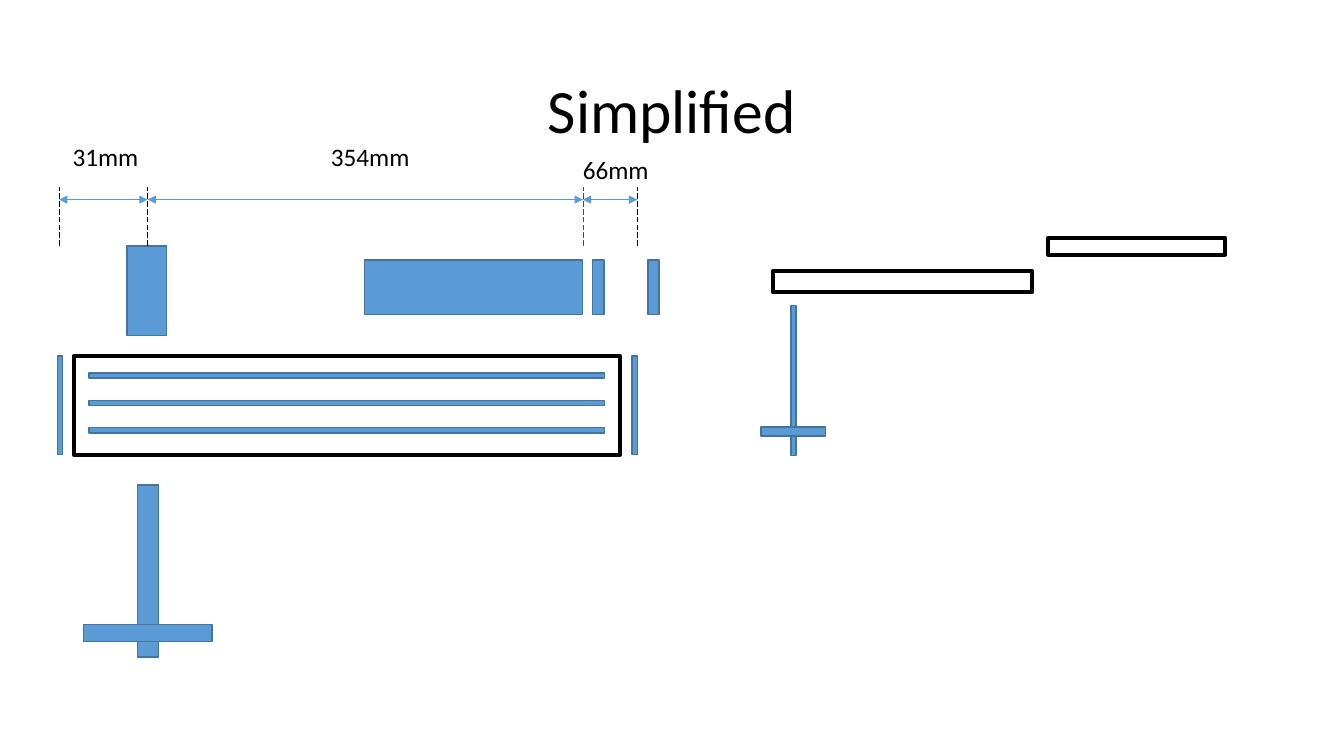
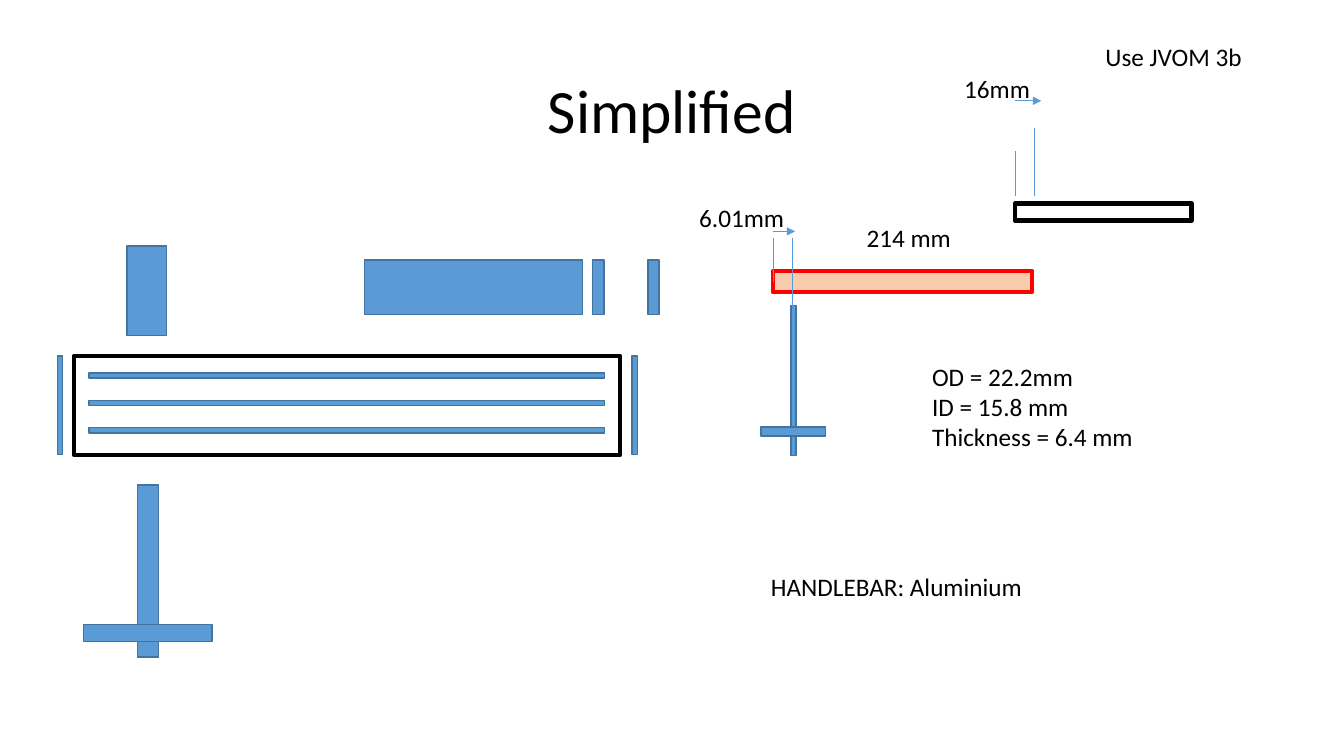
from lxml.etree import SubElement as Sub
from pptx import Presentation
from pptx.dml.color import RGBColor as Rgb
from pptx.enum.dml import MSO_LINE as Dash
from pptx.enum.shapes import MSO_CONNECTOR as Conn, MSO_SHAPE as Kind
from pptx.enum.text import MSO_ANCHOR as Anchor, MSO_AUTO_SIZE as Fit, PP_ALIGN as Align
from pptx.oxml.ns import qn
from pptx.util import Cm, Pt

FONT = "Calibri"
BLACK, WHITE, RED = "000000", "FFFFFF", "FF0000"
BLUE, NAVY, PEACH = "5B9BD5", "43739E", "F8CBAD"


def tint(part, color):
    if hasattr(part, "solid"):
        part.solid()
        part.fore_color.rgb = Rgb.from_string(color)
    else:
        part.rgb = Rgb.from_string(color)


def rect(slide, x, y, w, h, fill=BLUE, edge=NAVY, width=1):
    shape = slide.shapes.add_shape(Kind.RECTANGLE, Cm(x), Cm(y), Cm(w), Cm(h))
    shape.shadow.inherit = False
    tint(shape.fill, fill)
    tint(shape.line.color, edge)
    shape.line.width = Pt(width)


def frame(slide, x, y, w, h, fill=WHITE, edge=BLACK):
    rect(slide, x, y, w, h, fill, edge, 3)


def line(slide, x1, y1, x2, y2, color=BLUE, dash=None, heads=()):
    link = slide.shapes.add_connector(Conn.STRAIGHT, Cm(x1), Cm(y1), Cm(x2), Cm(y2))
    tint(link.line.color, color)
    link.line.width = Pt(0.5)
    if dash:
        link.line.dash_style = dash
    pen = link.line._get_or_add_ln()
    for head in heads:
        Sub(pen, qn(f"a:{head}"), type="triangle")
    Sub(link._element.spPr, qn("a:effectLst"))


def text(slide, x, y, w, h, rows, size=18):
    box = slide.shapes.add_textbox(Cm(x), Cm(y), Cm(w), Cm(h))
    body = box.text_frame
    for i, row in enumerate(rows):
        para = body.paragraphs[0] if i == 0 else body.add_paragraph()
        run = para.add_run()
        run.text = row
        run.font.name = FONT
        run.font.size = Pt(size)
        tint(run.font.color, BLACK)
    return body


def label(slide, x, y, w, *rows):
    body = text(slide, x, y, w, 0.25 + 0.77 * len(rows), rows)
    body.word_wrap = False
    body.auto_size = Fit.SHAPE_TO_FIT_TEXT


def title(slide, words):
    body = text(slide, 2.33, 1.01, 29.21, 3.68, [words], 44)
    body.word_wrap = True
    body.vertical_anchor = Anchor.MIDDLE
    para = body.paragraphs[0]
    para.alignment = Align.CENTER
    para.line_spacing = 0.9


def deck(slide, x, y, w, h):
    post = 0.13
    frame(slide, x + 0.41, y, w - 0.84, h)
    for left in (x, x + w - post):
        rect(slide, left, y, post, h)
    for i in range(3):
        rect(slide, x + 0.79, y + 0.43 + 0.69 * i, w - 1.62, post)


def stem(slide, x, y, w, h, post, bar):
    rect(slide, x + (w - post) / 2, y, post, h)
    rect(slide, x, y + 0.81 * h, w, bar)


def motor(slide, x, y, h):
    for left, w in ((0, 5.49), (5.75, 0.28), (7.14, 0.28)):
        rect(slide, x + left, y, w, h)


def base(deck_slides):
    slide = deck_slides.add_slide(LAYOUT)
    title(slide, "Simplified")
    deck(slide, 1.45, 8.97, 14.61, 2.49)
    motor(slide, 9.19, 6.55, 1.37)
    rect(slide, 3.2, 6.2, 1, 2.26)
    stem(slide, 2.11, 12.22, 3.23, 4.34, 0.53, 0.43)
    stem(slide, 19.18, 7.7, 1.63, 3.78, 0.13, 0.23)
    return slide


def spans(slide, x, y, h):
    marks = ((0, BLACK), (2.23, BLACK), (13.2, RED), (14.57, BLACK))
    for left, color in marks:
        line(slide, x + left, y + h, x + left, y, color, Dash.LONG_DASH)
    for (a, _), (b, _) in zip(marks, marks[1:]):
        line(slide, x + a, y + 0.33, x + b, y + 0.33, heads=("headEnd", "tailEnd"))
    label(slide, x + 0.09, y - 1.27, 2.18, "31mm")
    label(slide, x + 6.6, y - 1.27, 2.51, "354mm")
    label(slide, x + 12.95, y - 0.94, 2.18, "66mm")


def shift(slide, x, y, reach, first, second):
    line(slide, x, y, x + reach, y, heads=("tailEnd",))
    for left, (top, end) in ((0, first), (0.48, second)):
        line(slide, x + left, y + top, x + left, y + end)


def tubes(slide, x, y, *colors):
    frame(slide, 19.48, 6.83, 6.53, 0.53, *colors)
    frame(slide, x, y, 4.45, 0.43)


def notes(slide):
    label(slide, 21.59, 5.49, 2.67, "214 mm")
    label(slide, 23.24, 8.97, 5.61, "OD = 22.2mm", "ID = 15.8 mm", "Thickness = 6.4 mm")
    label(slide, 17.37, 4.98, 2.67, "6.01mm")
    label(slide, 19.18, 14.27, 6.91, "HANDLEBAR: Aluminium")
    label(slide, 24.05, 1.73, 2.18, "16mm")
    label(slide, 27.61, 0.91, 3.96, "Use JVOM 3b")


def main():
    global LAYOUT
    show = Presentation()
    show.slide_width, show.slide_height = Cm(33.87), Cm(19.05)
    LAYOUT = show.slide_layouts[6]

    slide = base(show.slides)
    tubes(slide, 26.42, 5.99)
    spans(slide, 1.49, 4.7, 1.5)

    slide = base(show.slides)
    tubes(slide, 25.58, 5.13, PEACH, RED)
    shift(slide, 19.48, 5.83, 0.56, (0.16, 1.28), (0.16, 1.87))
    shift(slide, 25.58, 2.54, 0.66, (1.27, 2.39), (0.69, 2.39))
    notes(slide)

    show.save("out.pptx")


if __name__ == "__main__":
    main()
